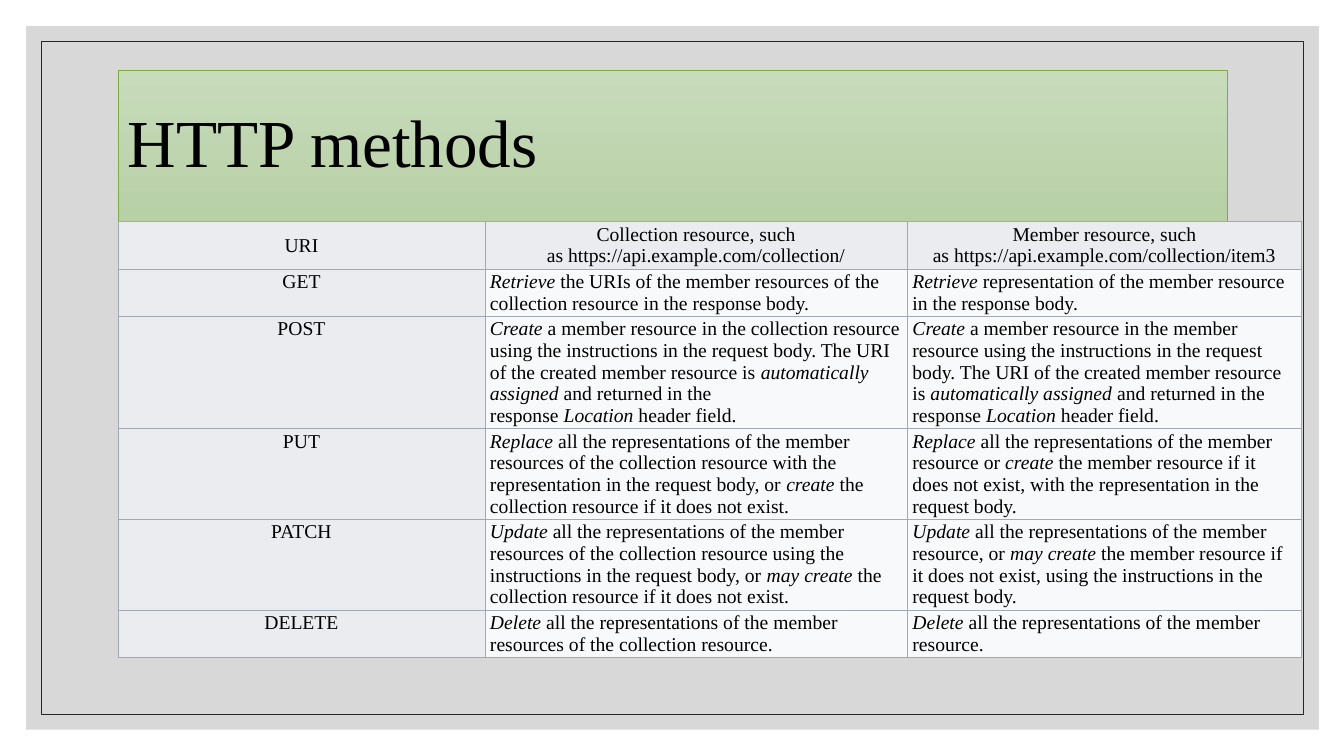
from lxml.etree import SubElement
from pptx import Presentation
from pptx.dml.color import RGBColor
from pptx.enum.shapes import MSO_SHAPE as Shape
from pptx.enum.text import MSO_ANCHOR as Anchor, PP_ALIGN as Align
from pptx.oxml.ns import qn
from pptx.util import Inches, Pt


def color(value):
    return RGBColor.from_string(value)


def write(frame, text, size=14, align=Align.LEFT, spacing=None):
    """Fill a text frame; *stars* mark italics and ~ a non-breaking space."""
    frame.word_wrap = True
    paragraph = frame.paragraphs[0]
    paragraph.alignment = align
    paragraph.line_spacing = spacing
    for index, part in enumerate(text.replace("~", "\u00a0").split("*")):
        if part:
            run = paragraph.add_run()
            run.text = part
            run.font.name = SlideBuilder.font
            run.font.size = Pt(size)
            run.font.italic = index % 2 == 1
            run.font.color.rgb = color(SlideBuilder.ink)


class SlideBuilder:
    font = "Times New Roman"
    ink = "000000"
    label_fill, body_fill, grid = "EAECF0", "F8F9FA", "A2A9B1"

    def __init__(self, slide):
        self.slide = slide

    def rectangle(self, box, fill=None, opacity=None, line=None):
        shape = self.slide.shapes.add_shape(Shape.RECTANGLE, *map(Inches, box))
        shape.shadow.inherit = False
        if isinstance(fill, tuple):
            shape.fill.gradient()
            shape.fill.gradient_angle = 270
            for stop, value in zip(shape.fill.gradient_stops, fill):
                stop.color.rgb = color(value)
        elif fill:
            shape.fill.solid()
            shape.fill.fore_color.rgb = color(fill)
        else:
            shape.fill.background()
        if opacity:
            solid_color = shape.fill._xPr.find(qn("a:solidFill"))[0]
            SubElement(solid_color, qn("a:alpha"), val=str(opacity * 1000))
        if line:
            shape.line.color.rgb = color(line)
            shape.line.width = Pt(0.5)
        else:
            shape.line.fill.background()
        return shape

    def title(self, box, text, fill, line):
        shape = self.rectangle(box, fill=fill, line=line)
        shape.text_frame.vertical_anchor = Anchor.MIDDLE
        write(shape.text_frame, text, size=48, spacing=0.9)

    def borders(self, cell):
        properties = cell._tc.get_or_add_tcPr()
        for side in "LRTB":
            border = SubElement(properties, qn(f"a:ln{side}"), w=str(Pt(0.5)))
            solid = SubElement(border, qn("a:solidFill"))
            SubElement(solid, qn("a:srgbClr"), val=self.grid)

    def table(self, left, top, widths, heights, rows):
        size = map(Inches, (left, top, sum(widths), sum(heights)))
        table = self.slide.shapes.add_table(len(rows), len(widths), *size).table
        table.first_row = table.horz_banding = False
        for column, width in zip(table.columns, widths):
            column.width = Inches(width)
        for row, height in zip(table.rows, heights):
            row.height = Inches(height)
        for row_index, row in enumerate(rows):
            for column_index, text in enumerate(row):
                cell = table.cell(row_index, column_index)
                header = row_index == 0
                label = header or column_index == 0
                self.borders(cell)
                cell.fill.solid()
                cell.fill.fore_color.rgb = color(self.label_fill if label else self.body_fill)
                cell.margin_left = cell.margin_right = Inches(0.05)
                cell.margin_top = cell.margin_bottom = Inches(0.02)
                cell.vertical_anchor = Anchor.MIDDLE if header else Anchor.TOP
                write(cell.text_frame, text, align=Align.CENTER if label else Align.LEFT)


presentation = Presentation()
presentation.slide_width, presentation.slide_height = Inches(13.33), Inches(7.5)
builder = SlideBuilder(presentation.slides.add_slide(presentation.slide_layouts[6]))

# Background panel and frame
builder.rectangle((0.26, 0.26, 12.82, 6.98), fill="BFBFBF", opacity=60)
builder.rectangle((0.41, 0.41, 12.52, 6.68), line="262626")

# Title
builder.title((1.17, 0.7, 11, 1.5), "HTTP methods", fill=("C8DBBB", "B7D0A6"), line="79AF3A")

# Methods table
POST_TEXT = (
    "*Create*~a member resource in the {} resource using the instructions in the "
    "request body. The URI of the created member resource is~*automatically assigned*"
    "~and returned in the response~*Location*~header field."
)
ALL = "~all the representations of the member "
METHODS = [
    ("URI",
     "Collection resource, such as~https://api.example.com/collection/",
     "Member resource, such as~https://api.example.com/collection/item3"),
    ("GET",
     "*Retrieve*~the URIs of the member resources of the collection resource "
     "in the response body.",
     "*Retrieve*~representation of the member resource in the response body."),
    ("POST", POST_TEXT.format("collection"), POST_TEXT.format("member")),
    ("PUT",
     f"*Replace*{ALL}resources of the collection resource with the representation "
     "in the request body, or~*create*~the collection resource if it does not exist.",
     f"*Replace*{ALL}resource or~*create*~the member resource if it does not exist, "
     "with the representation in the request body."),
    ("PATCH",
     f"*Update*{ALL}resources of the collection resource using the instructions "
     "in the request body, or~*may create*~the collection resource if it does not exist.",
     f"*Update*{ALL}resource, or~*may create*~the member resource if it does not exist, "
     "using the instructions in the request body."),
    ("DELETE",
     f"*Delete*{ALL}resources of the collection resource.",
     f"*Delete*{ALL}resource."),
]
builder.table(1.17, 2.2, widths=(3.64, 4.19, 3.91),
              heights=(0.47, 0.47, 1.03, 0.89, 0.89, 0.47), rows=METHODS)

presentation.save("out.pptx")
